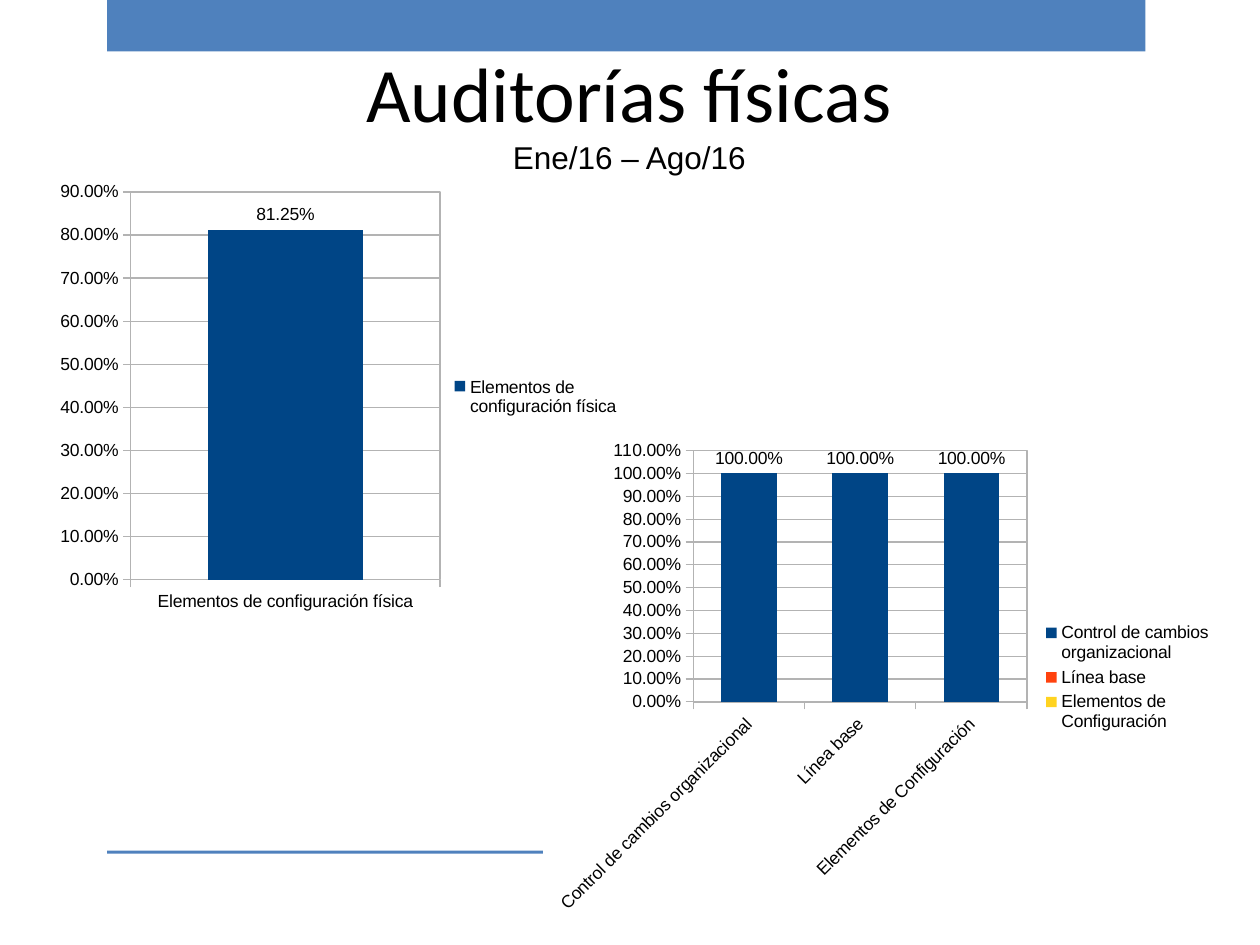
from lxml import etree
from pptx import Presentation
from pptx.chart.data import CategoryChartData
from pptx.dml.color import RGBColor
from pptx.enum.chart import (XL_CHART_TYPE, XL_LABEL_POSITION,
                             XL_LEGEND_POSITION, XL_TICK_MARK)
from pptx.enum.shapes import MSO_SHAPE
from pptx.enum.text import MSO_ANCHOR, MSO_AUTO_SIZE, PP_ALIGN
from pptx.oxml import parse_xml
from pptx.oxml.ns import nsdecls, qn
from pptx.util import Cm, Pt

BLACK = RGBColor(0x00, 0x00, 0x00)
WHITE = RGBColor(0xFF, 0xFF, 0xFF)
BAND_BLUE = RGBColor(0x4F, 0x81, 0xBD)
COLUMN_BLUE = RGBColor(0x00, 0x45, 0x86)
GRID_GREY = RGBColor(0xB3, 0xB3, 0xB3)
PERCENT = "0.00%"


def add_band(slide, top, height):
    band = slide.shapes.add_shape(MSO_SHAPE.RECTANGLE, Cm(2.16), Cm(top),
                                  Cm(20.93), Cm(height))
    band.shadow.inherit = False
    band.fill.solid()
    band.fill.fore_color.rgb = BAND_BLUE
    band.line.fill.background()


def write_title(slide, lines):
    """Fill the title placeholder with (text, font name, size) lines."""
    title = slide.shapes.title
    placement = {"left": 1.27, "top": 1.02, "width": 22.83, "height": 3.15}
    for side, length in placement.items():
        setattr(title, side, Cm(length))
    frame = title.text_frame
    frame_format = {"word_wrap": True, "auto_size": MSO_AUTO_SIZE.NONE,
                    "vertical_anchor": MSO_ANCHOR.MIDDLE,
                    "margin_top": Cm(0), "margin_bottom": Cm(0.73)}
    for attribute, value in frame_format.items():
        setattr(frame, attribute, value)
    frame.text = "\n".join(text for text, _, _ in lines)
    for paragraph, (_, font_name, size) in zip(frame.paragraphs, lines):
        paragraph.alignment = PP_ALIGN.CENTER
        paragraph.line_spacing = 1.0
        paragraph.space_before = Pt(0)
        font = paragraph.runs[0].font
        font.name, font.size = font_name, Pt(size)
        font.color.rgb = BLACK


def grey_line(line):
    line.color.rgb = GRID_GREY
    line.width = Pt(0.75)


def place_plot(chart, fractions):
    """Fix the inner plot area, given as x, y, w, h fractions, and frame it."""
    plot_area = chart.element.chart.plotArea
    for layout in plot_area.findall(qn("c:layout")):
        plot_area.remove(layout)
    layout = etree.Element(qn("c:layout"))
    manual = etree.SubElement(layout, qn("c:manualLayout"))
    settings = [("layoutTarget", "inner"), ("xMode", "edge"), ("yMode", "edge")]
    settings += zip("xywh", fractions)
    for tag, value in settings:
        etree.SubElement(manual, qn(f"c:{tag}")).set("val", str(value))
    plot_area.insert(0, layout)
    plot_area.append(parse_xml(
        f'<c:spPr {nsdecls("c", "a")}><a:noFill/><a:ln w="9525"><a:solidFill>'
        f'<a:srgbClr val="{GRID_GREY}"/></a:solidFill></a:ln></c:spPr>'))


def fill_background(chart):
    """Fill the chart space; its text properties must exist already."""
    chart.element.find(qn("c:txPr")).addprevious(parse_xml(
        f'<c:spPr {nsdecls("c", "a")}><a:solidFill><a:srgbClr val="{WHITE}"/>'
        '</a:solidFill><a:ln><a:noFill/></a:ln></c:spPr>'))


def format_axes(chart, maximum, label_angle):
    for axis in (chart.category_axis, chart.value_axis):
        axis.major_tick_mark = XL_TICK_MARK.OUTSIDE
        axis.minor_tick_mark = XL_TICK_MARK.NONE
        axis.tick_labels.font.size = Pt(10)
        grey_line(axis.format.line)
    body = chart.category_axis._element.find(qn("c:txPr")).find(qn("a:bodyPr"))
    body.set("rot", str(label_angle * 60000))
    values = chart.value_axis
    scale = {"minimum_scale": 0, "maximum_scale": maximum, "major_unit": 0.1,
             "has_major_gridlines": True}
    for attribute, value in scale.items():
        setattr(values, attribute, value)
    grey_line(values.major_gridlines.format.line)
    values.tick_labels.number_format = PERCENT
    values.tick_labels.number_format_is_linked = False


def add_column_chart(slide, box, results, maximum, plot_box,
                     series_name="", label_angle=0):
    data = CategoryChartData(number_format=PERCENT)
    data.categories = list(results)
    data.add_series(series_name, list(results.values()))
    chart = slide.shapes.add_chart(XL_CHART_TYPE.COLUMN_CLUSTERED,
                                   *map(Cm, box), data).chart
    chart.has_title = False
    chart.font.name, chart.font.size = "Arial", Pt(10)
    chart.font.color.rgb = BLACK
    fill_background(chart)

    chart.has_legend = True
    chart.legend.position = XL_LEGEND_POSITION.RIGHT
    chart.legend.include_in_layout = False

    columns = chart.plots[0]
    columns.gap_width = 100
    columns.vary_by_categories = True  # the legend lists the categories
    series = columns.series[0]
    series.format.fill.solid()
    series.format.fill.fore_color.rgb = COLUMN_BLUE
    label_format = {"show_value": True, "number_format": PERCENT,
                    "number_format_is_linked": False,
                    "position": XL_LABEL_POSITION.OUTSIDE_END}
    for attribute, value in label_format.items():
        setattr(series.data_labels, attribute, value)

    format_axes(chart, maximum, label_angle)
    place_plot(chart, plot_box)


def main():
    presentation = Presentation()
    presentation.slide_width, presentation.slide_height = Cm(25.4), Cm(19.05)
    slide = presentation.slides.add_slide(presentation.slide_layouts[5])

    add_band(slide, top=0, height=1.04)
    add_band(slide, top=17.15, height=0.06)
    write_title(slide, [("Auditorías físicas", "Calibri", 44),
                        ("Ene/16 – Ago/16", "Arial", 18)])

    physical_items = "Elementos de configuración física"
    add_column_chart(slide, (0.99, 3.51, 11.76, 8.99),
                     {physical_items: 0.8125}, maximum=0.9,
                     plot_box=(0.14, 0.04, 0.53, 0.87),
                     series_name=physical_items)
    add_column_chart(slide, (10.95, 8.69, 13.74, 9.93),
                     {"Control de cambios organizacional": 1,
                      "Línea base": 1,
                      "Elementos de Configuración": 1},
                     maximum=1.1, plot_box=(0.22, 0.04, 0.49, 0.51),
                     label_angle=-45)

    presentation.save("out.pptx")


if __name__ == "__main__":
    main()
